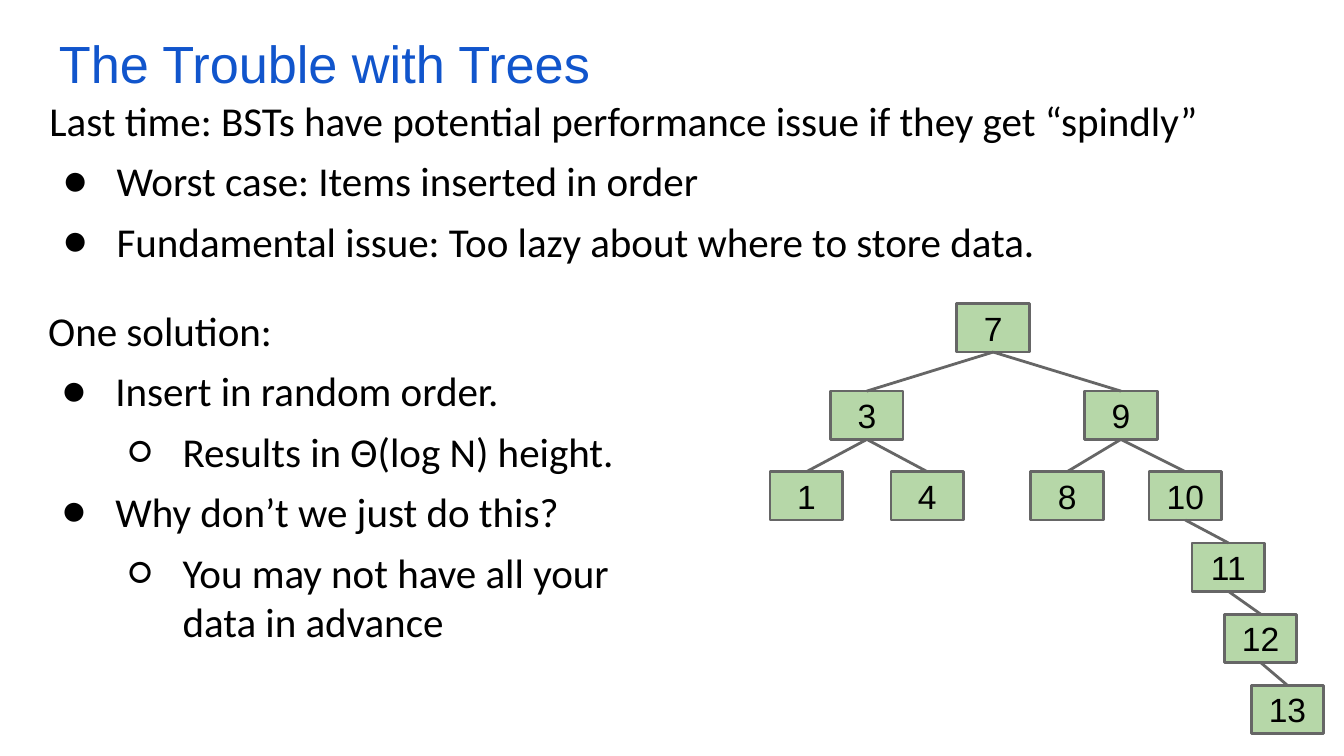
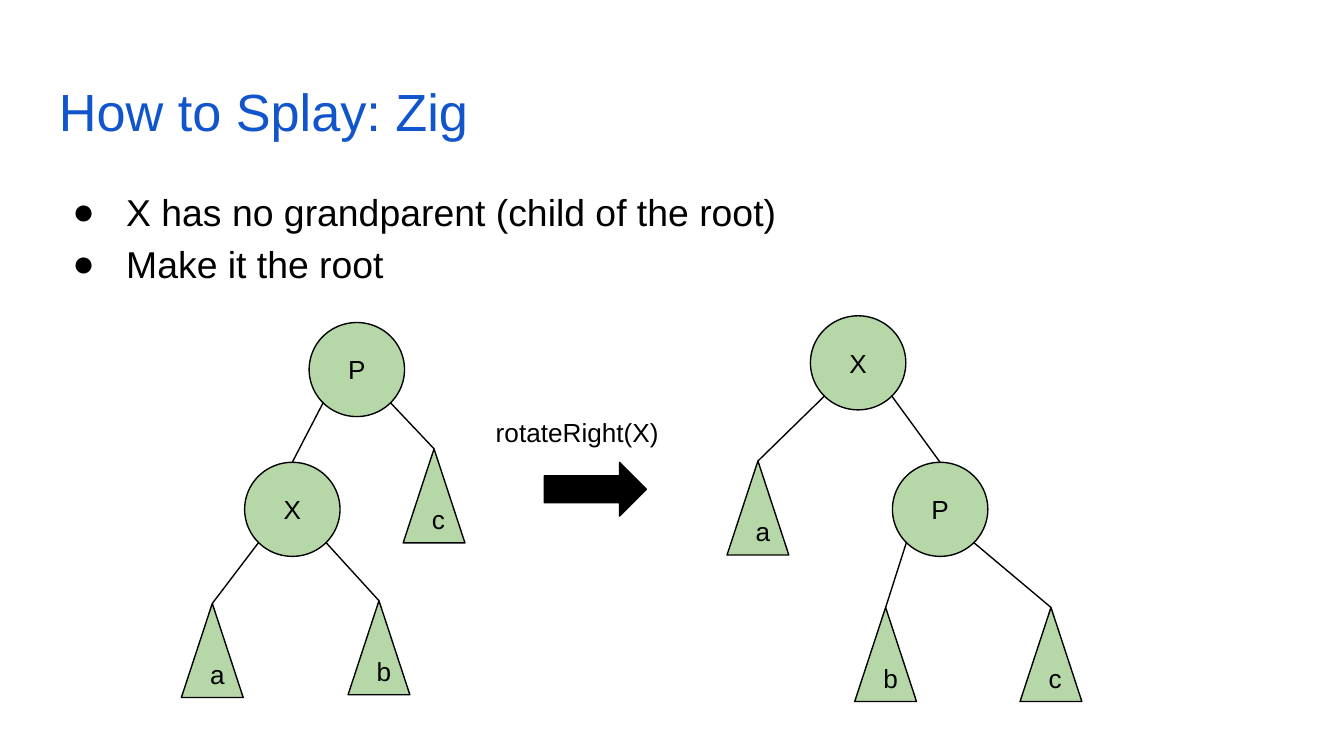
"""Two slides on search trees: the trouble with spindly trees, and the zig step of a splay."""
import math

import lxml.etree
import pptx
import pptx.dml.color
import pptx.enum.shapes
import pptx.enum.text
import pptx.oxml.ns
import pptx.util

BLUE = pptx.dml.color.RGBColor(0x11, 0x55, 0xCC)
GREEN = pptx.dml.color.RGBColor(0xB6, 0xD7, 0xA8)
GREY = pptx.dml.color.RGBColor(0x66, 0x66, 0x66)
BLACK = pptx.dml.color.RGBColor(0, 0, 0)
FORMS = pptx.enum.shapes.MSO_SHAPE
BULLETS = {1: "●", 2: "○"}

deck = pptx.Presentation()
deck.slide_width = pptx.util.Inches(10)
deck.slide_height = pptx.util.Inches(5.625)
CELL = deck.slide_width / 100
trouble, zig = [deck.slides.add_slide(deck.slide_layouts[6]) for _ in range(2)]


def span(*cells):
    """Turn grid cells, a hundred to the slide's width, into lengths."""
    return [round(cell * CELL) for cell in cells]


def write(shape, lines, size, face="Arial", ink=BLACK, gap=0, pitch=None):
    """Fill a shape with (level, text) lines; levels above zero get bullets."""
    frame = shape.text_frame
    frame.word_wrap = True
    frame.margin_left = frame.margin_right = frame.margin_top = frame.margin_bottom = span(1)[0]
    for row, (level, text) in enumerate(lines):
        para = frame.add_paragraph() if row else frame.paragraphs[0]
        para.text = text
        if level:
            props = para._p.get_or_add_pPr()
            para.level = level - 1
            left, hang = span(5 * level, -4)
            props.set("marL", str(left))
            props.set("indent", str(hang))
            tint = lxml.etree.SubElement(props, pptx.oxml.ns.qn("a:buClr"))
            lxml.etree.SubElement(tint, pptx.oxml.ns.qn("a:srgbClr"), val=str(ink))
            lxml.etree.SubElement(props, pptx.oxml.ns.qn("a:buFont"), typeface=face)
            lxml.etree.SubElement(props, pptx.oxml.ns.qn("a:buChar"), char=BULLETS[level])
        if row and gap:
            para.space_before = pptx.util.Pt(gap)
        if pitch:
            para.line_spacing = pitch
        for run in para.runs:
            run.font.name = face
            run.font.size = pptx.util.Pt(size)
            run.font.color.rgb = ink


title = {"size": 28, "ink": BLUE}
notes = {"size": 22, "face": "Calibri", "gap": 6}
for slide, place, style, lines in [
    (trouble, (3.4, 1.3, 93.2, 6.3), title, [(0, "The Trouble with Trees")]),
    (trouble, (2.7, 6.1, 92.3, 16.5), notes, [
        (0, "Last time: BSTs have potential performance issue if they get “spindly”"),
        (1, "Worst case: Items inserted in order"),
        (1, "Fundamental issue: Too lazy about where to store data."),
    ]),
    (trouble, (2.6, 21.7, 47.5, 29), notes, [
        (0, "One solution:"),
        (1, "Insert in random order."),
        (2, "Results in Θ(log N) height."),
        (1, "Why don’t we just do this?"),
        (2, "You may not have all your data in advance"),
    ]),
    (zig, (3.4, 4.9, 93.2, 6.3), title, [(0, "How to Splay: Zig")]),
    (zig, (3.4, 12.6, 93.2, 8.7), {"size": 20, "pitch": 1.15}, [
        (1, "X has no grandparent (child of the root)"),
        (1, "Make it the root"),
    ]),
    (zig, (35.9, 30, 14.8, 3.4), {"size": 14}, [(0, "rotateRight(X)")]),
]:
    write(slide.shapes.add_textbox(*span(*place)), lines, **style)

DIAG = math.sqrt(0.125)
box = (FORMS.RECTANGLE, 5.4, 3.6, 0, 0.5)
disc = (FORMS.OVAL, 7.1, 7, DIAG, DIAG)
wedge = (FORMS.ISOSCELES_TRIANGLE, 4.6, 7, 0, 0.5)
count = [
    ("7", None, box, 71.2, 22.6),
    ("3", "7", box, 61.8, 29.1), ("9", "7", box, 80.7, 29.1),
    ("1", "3", box, 57.3, 35.1), ("4", "3", box, 66.3, 35.1),
    ("8", "9", box, 76.7, 35.1), ("10", "9", box, 85.5, 35.1),
    ("11", "10", box, 88.7, 40.4), ("12", "11", box, 91.1, 45.7),
    ("13", "12", box, 93.1, 51),
]
before = [
    ("P", None, disc, 23, 24), ("X", "P", disc, 18.2, 34.4),
    ("a", "X", wedge, 13.5, 44.9), ("b", "X", wedge, 25.9, 44.7),
    ("c", "P", wedge, 30, 33.4),
]
after = [
    ("X", None, disc, 60.3, 23.5), ("a", "X", wedge, 54.1, 34.3),
    ("P", "X", disc, 66.4, 34.4),
    ("b", "P", wedge, 63.6, 45.2), ("c", "P", wedge, 75.9, 45.2),
]
for slide, tree, size, ink, width in [
    (trouble, count, 18, GREY, 1.5),
    (zig, before, 14, BLACK, 0.75),
    (zig, after, 14, BLACK, 0.75),
]:
    seen = {}
    for label, parent, (form, wide, high, reach, drop), x, y in tree:
        node = slide.shapes.add_shape(form, *span(x, y, wide, high))
        node.shadow.inherit = False
        node.fill.solid()
        node.fill.fore_color.rgb = GREEN
        node.line.color.rgb = ink
        node.line.width = pptx.util.Pt(width)
        write(node, [(0, label)], size)
        node.text_frame.vertical_anchor = pptx.enum.text.MSO_ANCHOR.MIDDLE
        node.text_frame.paragraphs[0].alignment = pptx.enum.text.PP_ALIGN.CENTER
        mid = x + wide / 2
        seen[label] = (mid, reach * wide, y + (0.5 + drop) * high)
        if parent:
            root, shift, base = seen[parent]
            start = root + math.copysign(shift, mid - root)
            edge = slide.shapes.add_connector(
                pptx.enum.shapes.MSO_CONNECTOR.STRAIGHT, *span(start, base, mid, y))
            edge.line.color.rgb = ink
            edge.line.width = pptx.util.Pt(width)
            lxml.etree.SubElement(edge._element.spPr, pptx.oxml.ns.qn("a:effectLst"))

arrow = zig.shapes.add_shape(FORMS.RIGHT_ARROW, *span(40.5, 34.4, 7.6, 4))
arrow.shadow.inherit = False
arrow.fill.solid()
arrow.fill.fore_color.rgb = BLACK
arrow.line.color.rgb = BLACK
arrow.line.width = pptx.util.Pt(0.75)

deck.save("out.pptx")
